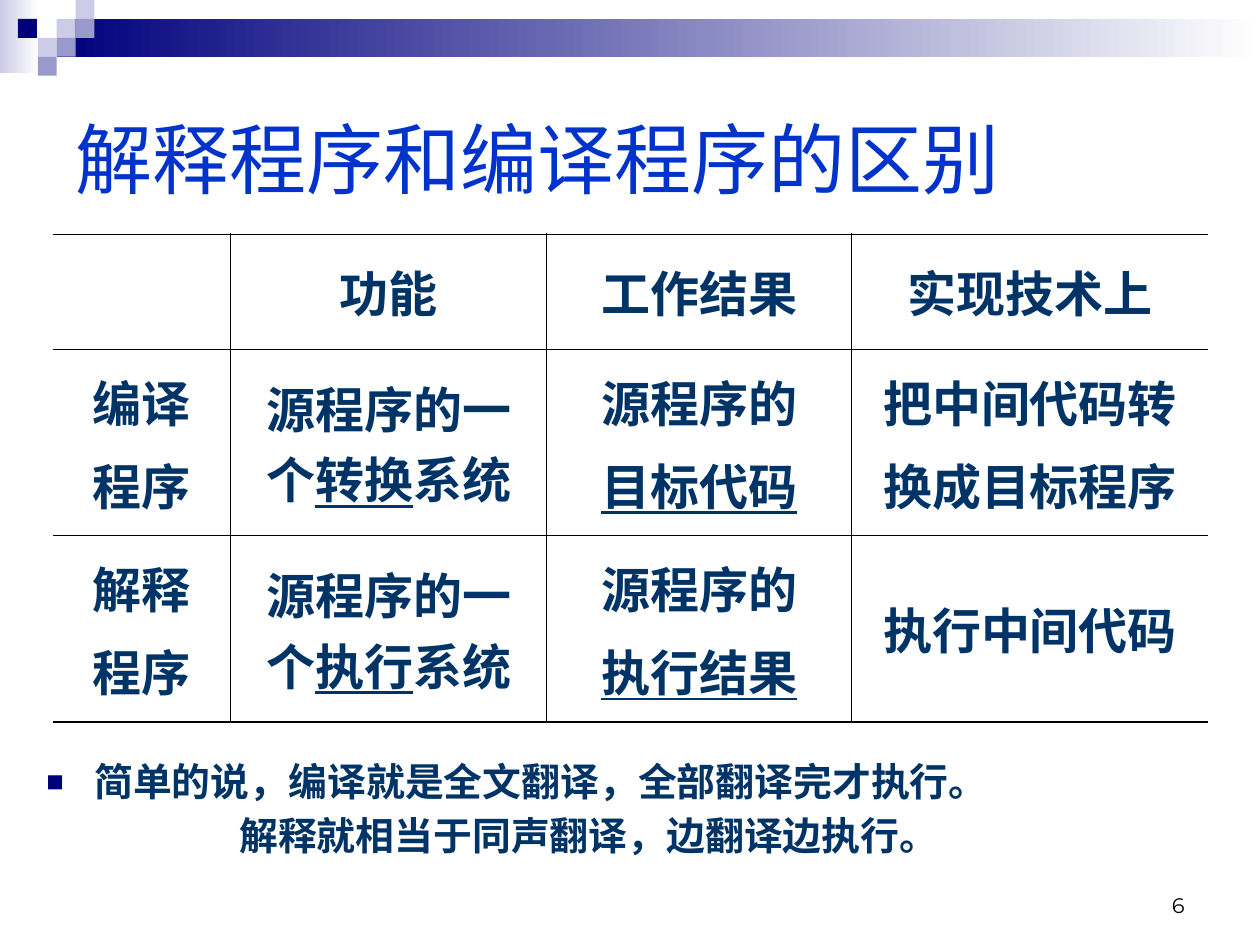
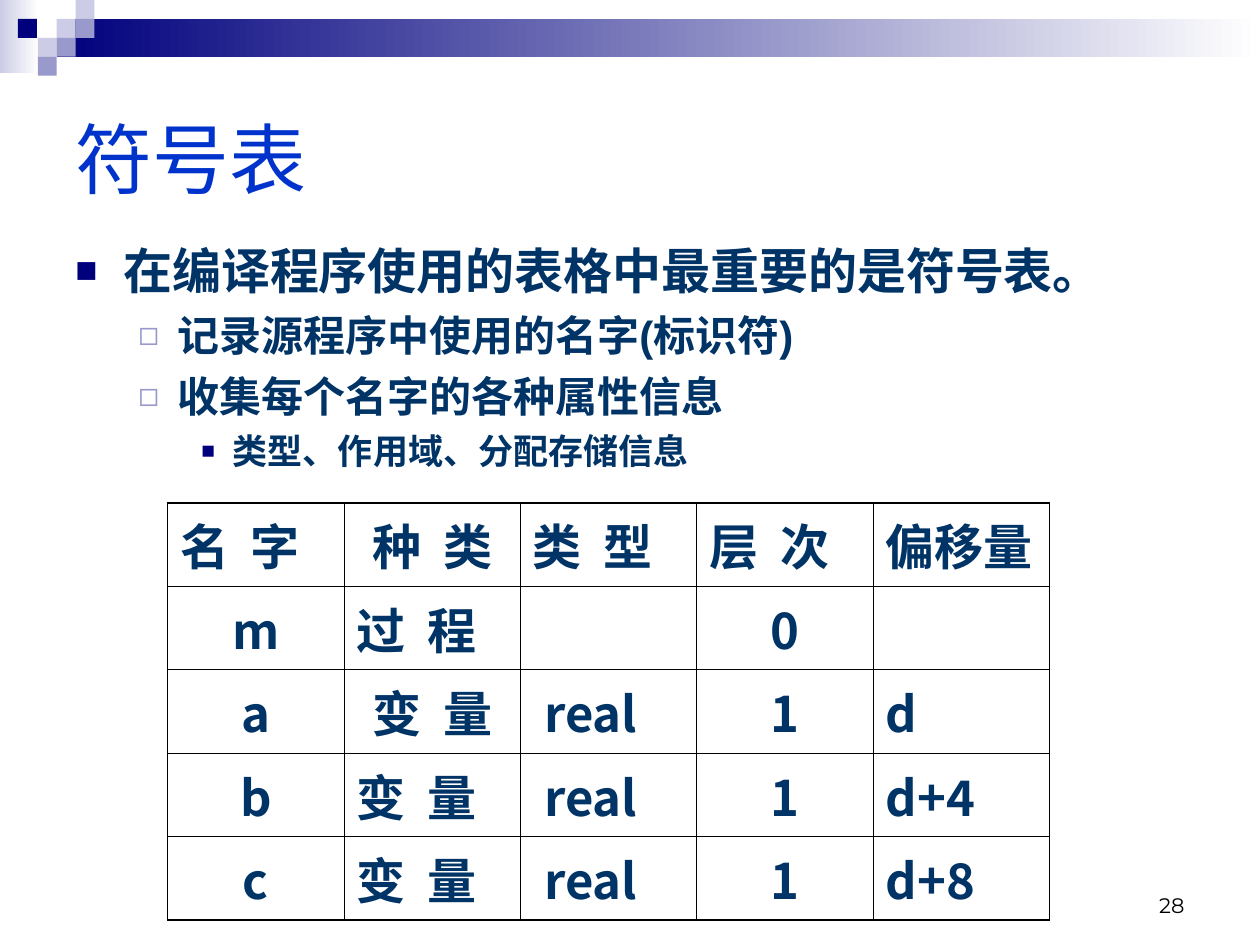
"""Build two compiler-course slides: compilers against interpreters, and the symbol table."""
from dataclasses import dataclass

from lxml.etree import SubElement
from pptx import Presentation
from pptx.dml.color import RGBColor
from pptx.enum.shapes import MSO_SHAPE
from pptx.enum.text import MSO_ANCHOR, MSO_AUTO_SIZE, PP_ALIGN
from pptx.oxml.ns import qn
from pptx.util import Inches, Pt


@dataclass(frozen=True)
class Theme:
    navy: str = "00007D"
    lilac: str = "9999CC"
    pale: str = "CCCCE6"
    white: str = "FFFFFF"
    black: str = "000000"
    title: str = "0033CC"
    text: str = "003366"
    font: str = "Arial"
    cjk: str = "Noto Sans CJK JP"
    digit: str = "Montserrat"
    head: float = 44
    big: float = 28
    mid: float = 24
    note: float = 22.2
    small: float = 20
    tiny: float = 12
    thin: float = 0.45
    thick: float = 1.08


T = Theme()

FADES = [(0, 0, 0.31, 0.58, T.pale), (0.45, 0.15, 9.55, 0.3, T.navy)]
TILE = 0.15
TILES = [(3, 1, T.pale), (4, 0, T.pale), (4, 1, T.lilac), (2, 2, T.pale),
         (0.95, 1, T.navy), (3, 2, T.lilac), (2, 3, T.lilac)]

BULLETS = {
    "main": dict(left=0.38, hang=-0.38, mark="■", tint=T.navy, scale=75),
    "sub": dict(left=0.81, hang=-0.31, mark="◻", tint=T.lilac, scale=80),
    "leaf": dict(left=1.25, hang=-0.25, mark="■", tint=T.navy, scale=65),
    "plain": dict(left=1.53, hang=0),
}

ALIGN = {"c": PP_ALIGN.CENTER, "j": PP_ALIGN.JUSTIFY, "i": PP_ALIGN.JUSTIFY}

SLIDES = [
    dict(
        title="解释程序和编译程序的区别", page="6",
        table=dict(
            at=(0.42, 1.86), cols=[1.41, 2.51, 2.42, 2.83], rows=[0.91, 1.48, 1.48],
            font=T.font, anchor=MSO_ANCHOR.MIDDLE, sides=False,
            cells=[
                ("cccc", ["", "功能", "工作结果", "实现技术上"]),
                ("cccc", ["编译\n程序", "源程序的一个_转换_系统",
                          "源程序的\n_目标代码_", "把中间代码转\n换成目标程序"]),
                ("cccc", ["解释\n程序", "源程序的一个_执行_系统",
                          "源程序的\n_执行结果_", "执行中间代码"]),
            ]),
        body=dict(
            at=(0.27, 5.91, 9.29, 1.17), lead=1.15,
            lines=[("main", T.note, 0, "简单的说，编译就是全文翻译，全部翻译完才执行。"),
                   ("plain", T.note, 0, "解释就相当于同声翻译，边翻译边执行。")])),
    dict(
        title="符号表", page="28",
        table=dict(
            at=(1.33, 3.99), cols=[1.4] * 5, rows=[0.66] * 5,
            font=T.cjk, anchor=MSO_ANCHOR.TOP, sides=True,
            cells=[
                ("jcjjj", ["名 字", "种 类", "类 型", "层 次", "偏移量"]),
                ("cjjcj", ["m", "过 程", "", "0", ""]),
                ("ccicj", ["a", "变 量", "real", "1", "d"]),
                ("cjicj", ["b", "变 量", "real", "1", "d+4"]),
                ("cjicj", ["c", "变 量", "real", "1", "d+8"]),
            ]),
        body=dict(
            at=(0.5, 1.86, 9, 2.2), lead=None,
            lines=[("main", T.big, 7, "在编译程序使用的表格中最重要的是符号表。"),
                   ("sub", T.mid, 6, "记录源程序中使用的名字(标识符)"),
                   ("sub", T.mid, 6, "收集每个名字的各种属性信息"),
                   ("leaf", T.small, 5, "类型、作用域、分配存储信息")])),
]


def rgb(code):
    return RGBColor.from_string(code)


def style(para, size, color, font=T.font, bold=False):
    para.font.name, para.font.size, para.font.bold = font, Pt(size), bold
    para.font.color.rgb = rgb(color)


def indent(para, left, hang=0, mark=None, tint=None, scale=100):
    props = para._p.get_or_add_pPr()
    props.set("marL", str(Inches(left)))
    props.set("indent", str(Inches(hang)))
    if mark:
        shade = SubElement(props, qn("a:buClr"))
        SubElement(shade, qn("a:srgbClr"), val=tint)
        SubElement(props, qn("a:buSzPct"), val=str(scale * 1000))
        SubElement(props, qn("a:buFont"), typeface=T.font)
        SubElement(props, qn("a:buChar"), char=mark)


def block(slide, at, anchor=MSO_ANCHOR.TOP):
    frame = slide.shapes.add_textbox(*map(Inches, at)).text_frame
    frame.word_wrap = True
    frame.vertical_anchor = anchor
    return frame


def rect(slide, *at):
    shape = slide.shapes.add_shape(MSO_SHAPE.RECTANGLE, *map(Inches, at))
    shape.shadow.inherit = False
    shape.line.fill.background()
    return shape.fill


def add_band(slide):
    for *at, tint in FADES:
        fill = rect(slide, *at)
        fill.gradient()
        fill.gradient_angle = 0
        for stop, color in zip(fill.gradient_stops, (tint, T.white)):
            stop.color.rgb = rgb(color)
    for col, row, tint in TILES:
        fill = rect(slide, col * TILE, row * TILE, TILE, TILE)
        fill.solid()
        fill.fore_color.rgb = rgb(tint)


def add_title(slide, text):
    title = slide.shapes.title
    title.left, title.top, title.width, title.height = map(Inches, (0.5, 0.5, 9, 1.5))
    frame = title.text_frame
    frame.text = text
    frame.auto_size = MSO_AUTO_SIZE.NONE
    frame.vertical_anchor = MSO_ANCHOR.MIDDLE
    para = frame.paragraphs[0]
    para.alignment = PP_ALIGN.LEFT
    style(para, T.head, T.title)


def add_page(slide, number):
    para = block(slide, (7.17, 6.83, 2.33, 0.5), MSO_ANCHOR.BOTTOM).paragraphs[0]
    para.text = number
    para.alignment = PP_ALIGN.RIGHT
    style(para, T.tiny, T.black, T.digit)


def add_body(slide, at, lead, lines):
    frame = block(slide, at)
    for n, (kind, size, gap, text) in enumerate(lines):
        para = frame.add_paragraph() if n else frame.paragraphs[0]
        para.text = text
        para.line_spacing = lead
        para.space_before = Pt(gap)
        indent(para, **BULLETS[kind])
        style(para, size, T.text, bold=True)


def fill_cell(cell, text, code, font):
    cell.text = text.replace("_", "")
    for para, line in zip(cell.text_frame.paragraphs, text.split("\n")):
        para.clear()
        para.alignment = ALIGN[code]
        para.space_before = Pt(7)
        if code == "i":
            indent(para, 0.09)
        style(para, T.big, T.text, font, True)
        for n, part in enumerate(line.split("_")):
            if part:
                run = para.add_run()
                run.text = part
                if n % 2:
                    run.font.underline = True
                if " " in part:
                    run._r.get_or_add_rPr().set("spc", "310")


def edge(cell, widths):
    props = cell._tc.get_or_add_tcPr()
    for n, (side, width) in enumerate(zip("LRTB", widths)):
        line = SubElement(props, qn(f"a:ln{side}"), w=str(Pt(width)))
        if width:
            fill = SubElement(line, qn("a:solidFill"))
            SubElement(fill, qn("a:srgbClr"), val=T.black)
        else:
            SubElement(line, qn("a:noFill"))
        props.insert(n, line)


def add_grid(slide, at, cols, rows, font, anchor, sides, cells):
    size = sum(cols), sum(rows)
    grid = slide.shapes.add_table(len(rows), len(cols), *map(Inches, at + size)).table
    grid.first_row = grid.horz_banding = False
    for col, width in zip(grid.columns, cols):
        col.width = Inches(width)
    for row, height in zip(grid.rows, rows):
        row.height = Inches(height)
    outer = T.thick if sides else 0
    for r, (codes, texts) in enumerate(cells):
        for c, (code, text) in enumerate(zip(codes, texts)):
            cell = grid.cell(r, c)
            cell.vertical_anchor = anchor
            cell.fill.background()
            fill_cell(cell, text, code, font)
            edge(cell, (outer if c == 0 else T.thin,
                        outer if c == len(cols) - 1 else T.thin,
                        T.thick if r == 0 else T.thin,
                        T.thick if r == len(rows) - 1 else T.thin))


def main():
    deck = Presentation()
    deck.slide_width, deck.slide_height = Inches(10), Inches(7.5)
    for data in SLIDES:
        slide = deck.slides.add_slide(deck.slide_layouts[5])
        add_band(slide)
        add_grid(slide, **data["table"])
        add_body(slide, **data["body"])
        add_title(slide, data["title"])
        add_page(slide, data["page"])
    deck.save("out.pptx")


if __name__ == "__main__":
    main()
